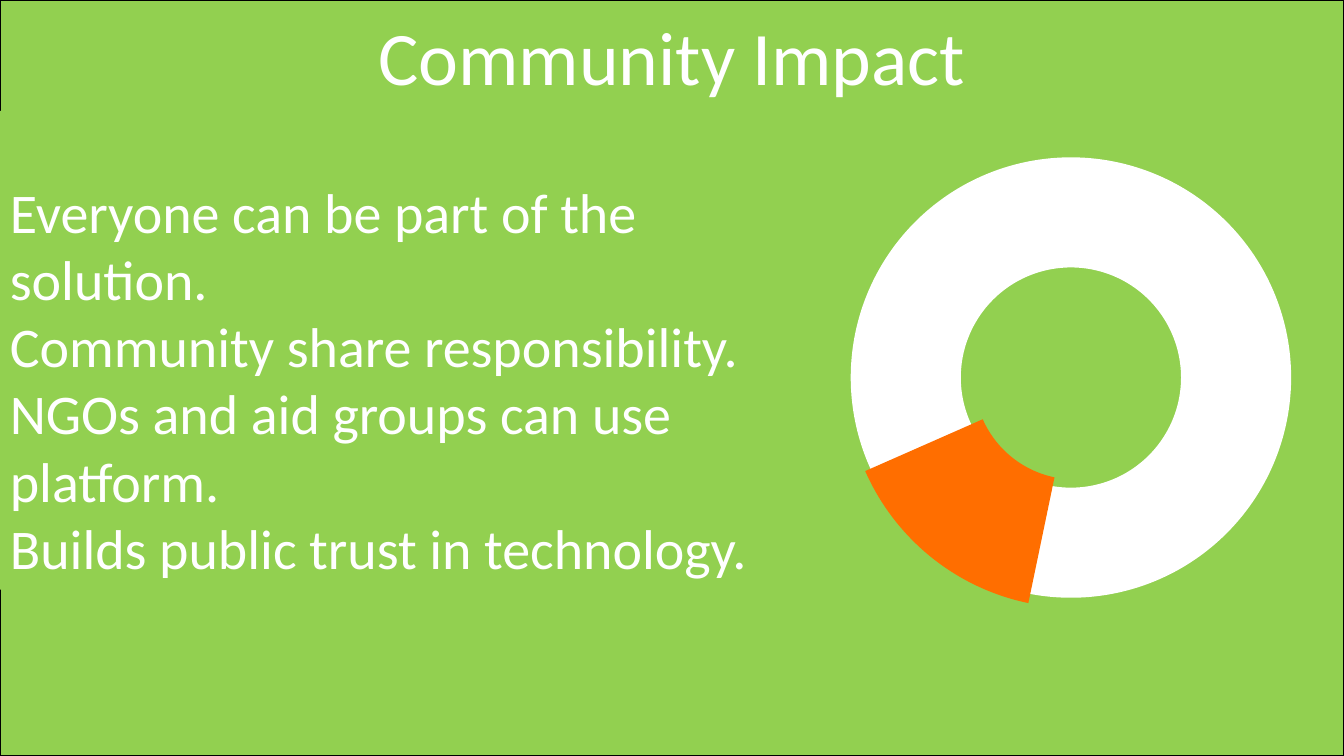
from pptx import Presentation
from pptx.dml.color import RGBColor
from pptx.enum.shapes import MSO_SHAPE
from pptx.enum.text import MSO_ANCHOR, PP_ALIGN
from pptx.util import Pt

WIDTH, HEIGHT = 960, 540
GREEN, WHITE, ORANGE, BLACK = "92D050", "FFFFFF", "FF6E00", "000000"
IMPACTS = [
    "Everyone can be part of the solution.",
    "Community share responsibility.",
    "NGOs and aid groups can use platform.",
    "Builds public trust in technology.",
]


def color(hex_value):
    return RGBColor.from_string(hex_value)


def add_filled(slide, kind, box, fill, outline=None):
    shape = slide.shapes.add_shape(kind, *map(Pt, box))
    shape.shadow.inherit = False
    shape.fill.solid()
    shape.fill.fore_color.rgb = color(fill)
    if outline:
        shape.line.color.rgb = color(outline)
        shape.line.width = Pt(1)
    else:
        shape.line.fill.background()
    return shape


def write(paragraph, text, size, align):
    paragraph.alignment = align
    run = paragraph.add_run()
    run.text = text
    run.font.name = "Calibri"
    run.font.size = Pt(size)
    run.font.color.rgb = color(WHITE)


def add_ring(slide, box):
    left, top, size = box
    add_filled(slide, MSO_SHAPE.DONUT, (left, top, size, size), WHITE)
    # Highlighted segment, slightly larger than the ring
    segment = add_filled(slide, MSO_SHAPE.BLOCK_ARC,
                         (left - 3.6, top - 5.8, size + 13, size + 13), ORANGE)
    segment.rotation = 282.5
    start, end = 179.25, 233.71
    # Angles are held in 60000ths of a degree, adjustments in 100000ths
    segment.adjustments[0] = start * 0.6
    segment.adjustments[1] = end * 0.6
    segment.adjustments[2] = 0.28


def add_title(slide, box):
    title = slide.shapes.title
    title.left, title.top, title.width, title.height = map(Pt, box)
    # Bring the title in front of the background panel
    title.element.getparent().append(title.element)
    frame = title.text_frame
    frame.word_wrap = True
    frame.vertical_anchor = MSO_ANCHOR.TOP
    write(frame.paragraphs[0], "Community Impact", 54, PP_ALIGN.CENTER)


def add_impacts(slide, box):
    panel = add_filled(slide, MSO_SHAPE.RECTANGLE, box, GREEN)
    frame = panel.text_frame
    frame.word_wrap = True
    frame.vertical_anchor = MSO_ANCHOR.TOP
    frame.margin_top = Pt(47.5)
    for index, impact in enumerate(IMPACTS):
        paragraph = frame.add_paragraph() if index else frame.paragraphs[0]
        write(paragraph, impact, 40, PP_ALIGN.LEFT)


def build_impact_slide(prs):
    slide = prs.slides.add_slide(prs.slide_layouts[5])
    # Background panel
    add_filled(slide, MSO_SHAPE.RECTANGLE, (0, 0, WIDTH, HEIGHT), GREEN, BLACK)
    # Ring, title and text
    add_ring(slide, (607.7, 112.4, 314.6))
    add_title(slide, (252.5, 3.6, 455, 73))
    add_impacts(slide, (0, 79.2, 604, 342))


def main():
    prs = Presentation()
    prs.slide_width, prs.slide_height = Pt(WIDTH), Pt(HEIGHT)
    build_impact_slide(prs)
    prs.save("out.pptx")


if __name__ == "__main__":
    main()
